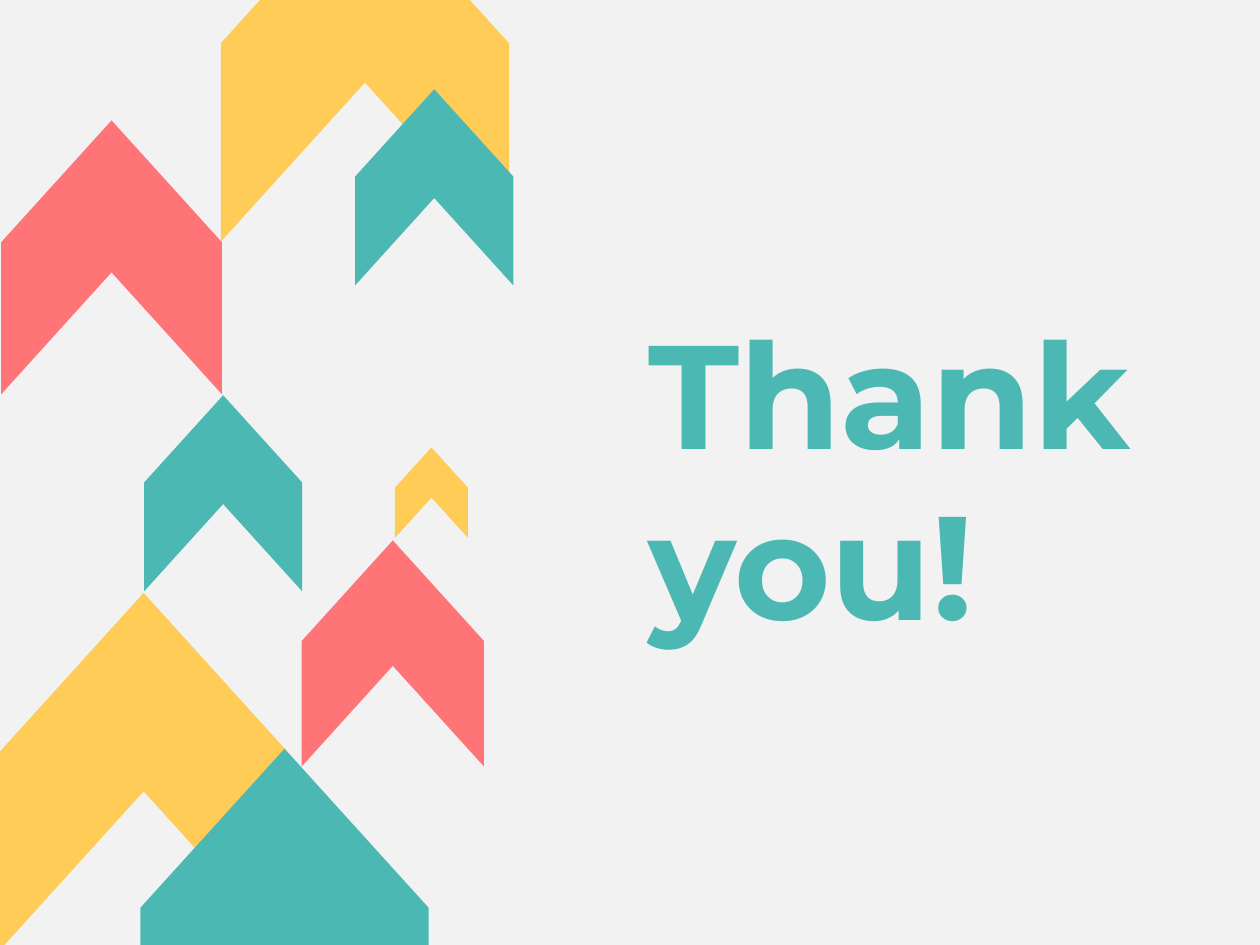
from dataclasses import dataclass

from pptx import Presentation
from pptx.dml.color import RGBColor
from pptx.enum.text import MSO_ANCHOR, MSO_AUTO_SIZE, PP_ALIGN
from pptx.util import Cm, Pt

LEFT = PP_ALIGN.LEFT
TOP = MSO_ANCHOR.TOP
FIT_SHAPE = MSO_AUTO_SIZE.SHAPE_TO_FIT_TEXT
TITLE_ONLY = 5


@dataclass(frozen=True)
class Theme:
    background: RGBColor = RGBColor(0xF2, 0xF2, 0xF2)
    teal: RGBColor = RGBColor(0x4C, 0xB8, 0xB4)
    yellow: RGBColor = RGBColor(0xFF, 0xCC, 0x58)
    coral: RGBColor = RGBColor(0xFF, 0x74, 0x77)
    font: str = "Montserrat"
    title_size: float = 89.8
    title_spacing: float = 0.97


class SlideBuilder:
    # Chevron outline: offset from the axis in widths, depth from the tip in heights
    CHEVRON = [(0, 0), (0.5, 0.445), (0.5, 1), (0, 0.555), (-0.5, 1), (-0.5, 0.445)]
    HEIGHT_RATIO = 1.24

    def __init__(self, slide, theme):
        self.slide = slide
        self.theme = theme

    def background(self):
        fill = self.slide.background.fill
        fill.solid()
        fill.fore_color.rgb = self.theme.background

    def chevron(self, center, top, width, color):
        height = width * self.HEIGHT_RATIO
        points = [(Cm(center + across * width), Cm(top + down * height))
                  for across, down in self.CHEVRON]
        builder = self.slide.shapes.build_freeform(*points[0])
        builder.add_line_segments(points[1:], close=True)
        shape = builder.convert_to_shape()
        shape.shadow.inherit = False
        shape.fill.solid()
        shape.fill.fore_color.rgb = color
        shape.line.fill.background()

    def title(self, lines, left, top, width, height):
        title = self.slide.shapes.title
        title.left, title.top = Cm(left), Cm(top)
        title.width, title.height = Cm(width), Cm(height)
        frame = title.text_frame
        frame.margin_left = frame.margin_right = 0
        frame.margin_top = frame.margin_bottom = 0
        frame.word_wrap = True
        frame.vertical_anchor = TOP
        frame.auto_size = FIT_SHAPE
        for index, line in enumerate(lines):
            paragraph = frame.add_paragraph() if index else frame.paragraphs[0]
            paragraph.alignment = LEFT
            paragraph.line_spacing = self.theme.title_spacing
            paragraph.space_before = Pt(0)
            run = paragraph.add_run()
            run.text = line
            run.font.name = self.theme.font
            run.font.size = Pt(self.theme.title_size)
            run.font.bold = True
            run.font.color.rgb = self.theme.teal


def main():
    theme = Theme()
    presentation = Presentation()
    presentation.slide_width, presentation.slide_height = Cm(27.1), Cm(20.32)
    slide = presentation.slides.add_slide(presentation.slide_layouts[TITLE_ONLY])
    builder = SlideBuilder(slide, theme)
    builder.background()

    # Closing words
    builder.title(["Thank", "you!"], 13.94, 6.71, 11.13, 6.32)

    # Rising chevrons, back to front: center, top, width, color
    chevrons = [
        (3.09, 12.75, 6.2, theme.yellow),
        (6.12, 16.1, 6.2, theme.teal),
        (8.45, 11.62, 3.92, theme.coral),
        (9.28, 9.62, 1.57, theme.yellow),
        (4.8, 8.5, 3.4, theme.teal),
        (2.4, 2.59, 4.75, theme.coral),
        (7.85, -2.49, 6.2, theme.yellow),
        (9.34, 1.92, 3.4, theme.teal),
    ]
    for chevron in chevrons:
        builder.chevron(*chevron)

    presentation.save("out.pptx")


if __name__ == "__main__":
    main()
